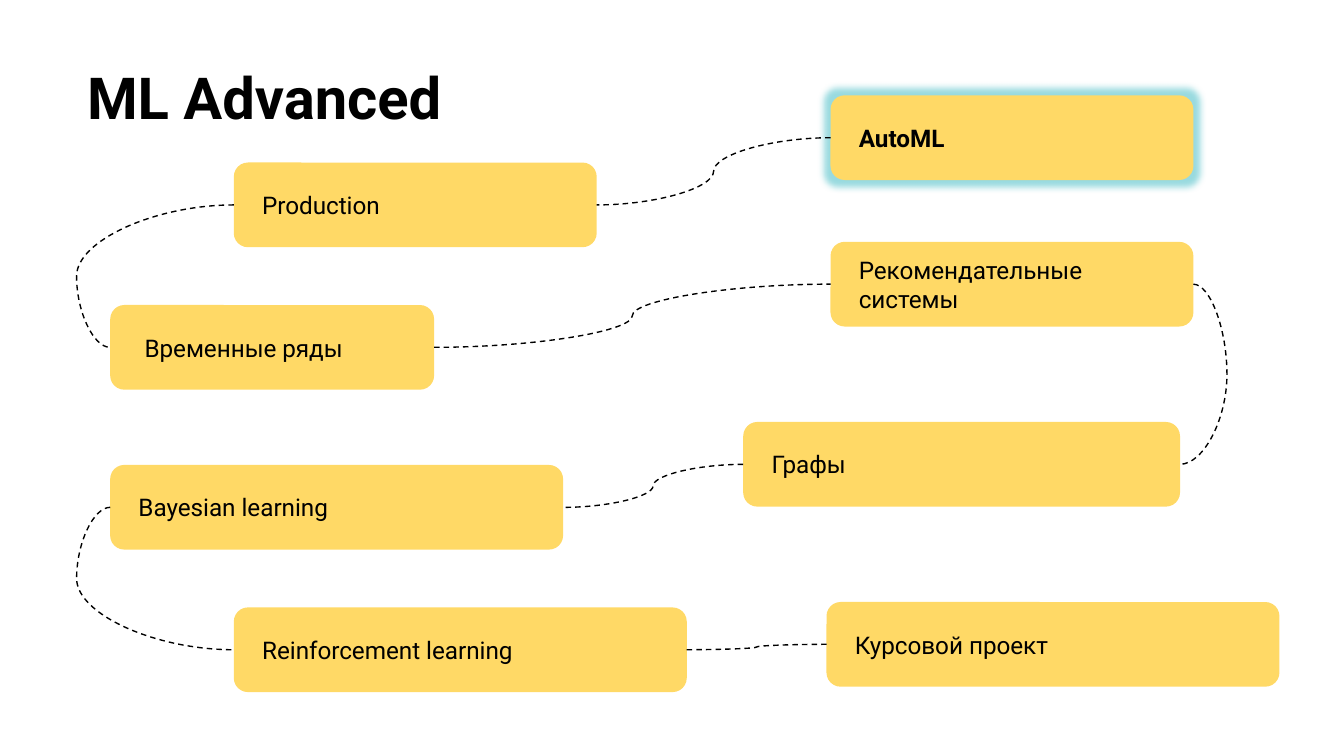
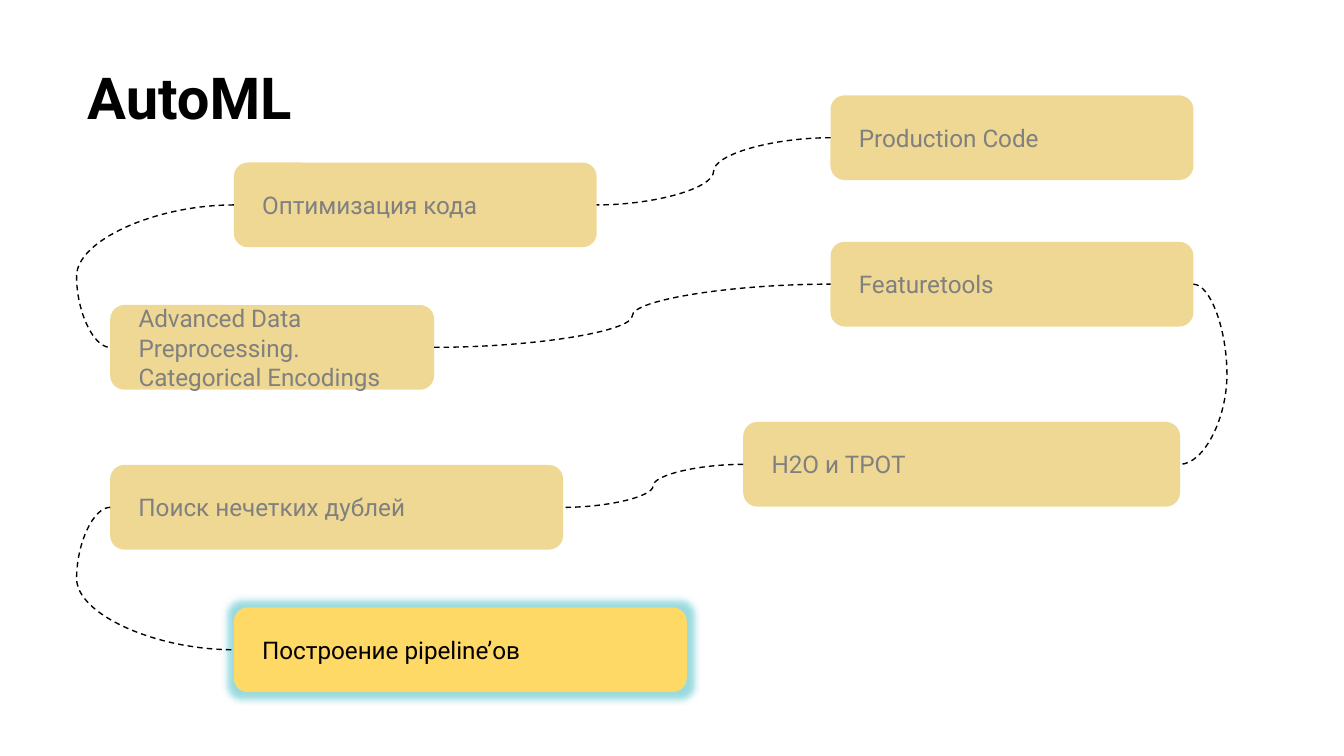
from lxml import etree
from pptx import Presentation
from pptx import util as u
from pptx.dml.color import RGBColor
from pptx.enum import dml, shapes, text
from pptx.oxml import ns

# Grid: 100 columns across, square cells
CELL = u.Inches(0.1)
STEP_HEIGHT = 6.3
OUTWARD_BEND = 2.5
LEFT, RIGHT = 1, 3  # connection sites of a rounded rectangle

# Column, row and width of each step along the route
STOPS = [
    (61.8, 7.1, 27),
    (17.4, 12.1, 27),
    (8.2, 22.7, 24.1),
    (61.8, 18, 27),
    (55.3, 31.4, 32.5),
    (8.2, 34.6, 33.7),
    (17.4, 45.2, 33.7),
    (61.5, 44.8, 33.7),
]

# Sides where each link leaves one step and enters the next
LINKS = [(LEFT, RIGHT), (LEFT, LEFT), (RIGHT, LEFT), (RIGHT, RIGHT),
         (LEFT, RIGHT), (LEFT, LEFT), (RIGHT, LEFT)]


def rgb(value):
    return RGBColor.from_string(value)


def cells(count):
    return u.Emu(round(count * CELL))


def add_xml(parent, tag, **attributes):
    return etree.SubElement(parent, ns.qn(tag), attributes)


class RouteDeck:
    FONT = "Roboto"
    INK = "000000"
    FADED_INK = "808080"
    STEP = "FFD966"
    FADED_STEP = "E7C55C"
    GLOW = "46BDC6"

    def __init__(self):
        self.deck = Presentation()
        self.deck.slide_width = cells(100)
        self.deck.slide_height = cells(56.25)
        self.slide = None

    def new_slide(self):
        self.slide = self.deck.slides.add_slide(self.deck.slide_layouts[6])

    def add_words(self, frame, words, size, color, bold=False):
        frame.word_wrap = True
        frame.margin_top = frame.margin_bottom = cells(1)
        line = frame.paragraphs[0]
        line.alignment = text.PP_ALIGN.LEFT
        run = line.add_run()
        run.text = words
        run.font.name = self.FONT
        run.font.size = u.Pt(size)
        run.font.bold = bold
        run.font.color.rgb = rgb(color)

    def title(self, words):
        heading = self.slide.shapes.add_textbox(
            cells(5.5), cells(3.6), cells(93.2), cells(12))
        heading.text_frame.margin_left = heading.text_frame.margin_right = cells(1)
        self.add_words(heading.text_frame, words, 31, self.INK, bold=True)

    def step(self, words, stop, faded=False, glowing=False, bold=False):
        column, row, width = stop
        box = self.slide.shapes.add_shape(
            shapes.MSO_SHAPE.ROUNDED_RECTANGLE,
            cells(column), cells(row), cells(width), cells(STEP_HEIGHT))
        box.adjustments[0] = 1 / 6
        box.shadow.inherit = False
        box.line.fill.background()
        box.fill.solid()
        box.fill.fore_color.rgb = rgb(self.FADED_STEP if faded else self.STEP)
        properties = box.element.spPr
        if faded:
            fill = properties.find(ns.qn("a:solidFill"))
            add_xml(fill[0], "a:alpha", val="66000")
        if glowing:
            effects = properties.find(ns.qn("a:effectLst"))
            glow = add_xml(effects, "a:glow", rad=str(cells(1)))
            tint = add_xml(glow, "a:srgbClr", val=self.GLOW)
            add_xml(tint, "a:alpha", val="55000")
        frame = box.text_frame
        frame.vertical_anchor = text.MSO_ANCHOR.MIDDLE
        frame.margin_left = frame.margin_right = cells(1.8)
        self.add_words(frame, words, 13, self.FADED_INK if faded else self.INK, bold)
        return box

    def link(self, start, end, exit_side, entry_side):
        curve = self.slide.shapes.add_connector(
            shapes.MSO_CONNECTOR.CURVE, 0, 0, 0, 0)
        curve.begin_connect(start, exit_side)
        curve.end_connect(end, entry_side)
        curve.line.color.rgb = rgb(self.INK)
        curve.line.width = u.Pt(0.75)
        curve.line.dash_style = dml.MSO_LINE.DASH
        properties = curve.element.spPr
        add_xml(properties, "a:effectLst")

        # Links between equal sides swing out past the outermost step
        if exit_side == entry_side:
            ends = curve.begin_x, curve.end_x
            if exit_side == LEFT:
                bend = min(ends) - cells(OUTWARD_BEND)
            else:
                bend = max(ends) + cells(OUTWARD_BEND)
            share = (bend - ends[0]) / (ends[1] - ends[0])
            guides = properties.find(ns.qn("a:prstGeom")).find(ns.qn("a:avLst"))
            add_xml(guides, "a:gd", name="adj1", fmla=f"val {round(share * 100000)}")

    def route(self, heading, topics, current, fade_others=False, bold_current=False):
        self.new_slide()
        self.title(heading)
        steps = [
            self.step(topic, stop,
                      faded=fade_others and topic != current,
                      glowing=topic == current,
                      bold=bold_current and topic == current)
            for topic, stop in zip(topics, STOPS)
        ]
        for start, end, sides in zip(steps, steps[1:], LINKS):
            self.link(start, end, *sides)


def main():
    course = RouteDeck()

    # Whole course
    course.route(
        "ML Advanced",
        ["AutoML", "Production", " Временные ряды", "Рекомендательные системы",
         "Графы", "Bayesian learning", "Reinforcement learning", "Курсовой проект"],
        current="AutoML", bold_current=True)

    # Current module
    course.route(
        "AutoML",
        ["Production Code", "Оптимизация кода",
         "Advanced Data Preprocessing. Categorical Encodings", "Featuretools",
         "H2O и TPOT", "Поиск нечетких дублей", "Построение pipeline’ов"],
        current="Построение pipeline’ов", fade_others=True)

    course.deck.save("out.pptx")


if __name__ == "__main__":
    main()
